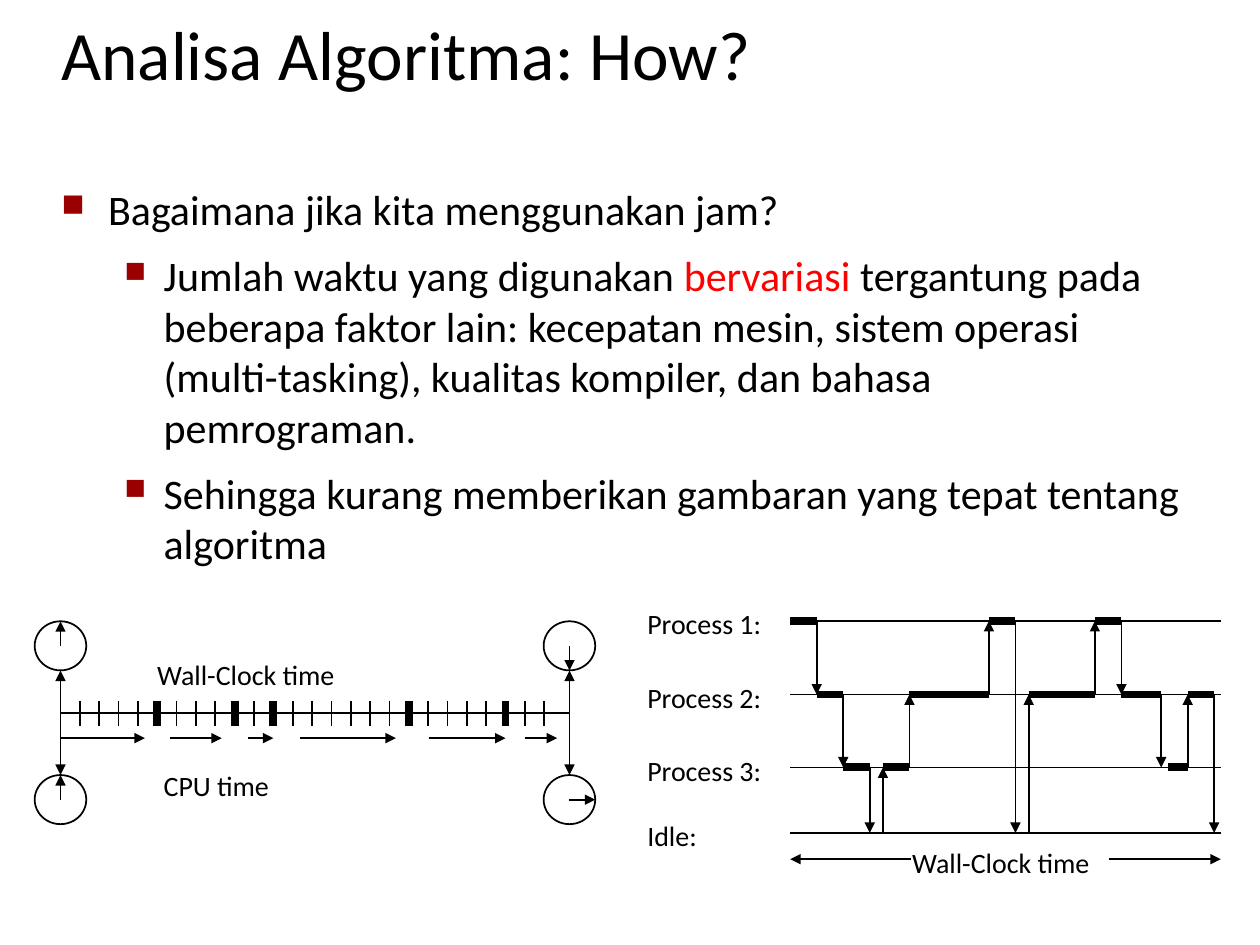
"""Build the slide on measuring an algorithm with a clock."""
from dataclasses import dataclass

from lxml.etree import SubElement
from pptx import Presentation
from pptx.dml.color import RGBColor
from pptx.enum.shapes import MSO_CONNECTOR as Connector, MSO_SHAPE as Shape
from pptx.enum.text import MSO_ANCHOR as Anchor
from pptx.oxml.ns import qn
from pptx.util import Cm, Pt


@dataclass(frozen=True)
class Theme:
    font: str = "Calibri"
    ink: str = "000000"
    accent: str = "FF0000"
    bullet: str = "9A0000"
    title: float = 39.6
    body: float = 24
    label: float = 16
    thin: float = 1
    thick: float = 4.5


class SlideBuilder:
    def __init__(self, slide, theme):
        self.slide = slide
        self.theme = theme

    def style(self, paragraph, size):
        paragraph.font.name = self.theme.font
        paragraph.font.size = Pt(size)
        paragraph.font.color.rgb = RGBColor.from_string(self.theme.ink)

    def frame(self, left, top, width, height):
        box = self.slide.shapes.add_textbox(Cm(left), Cm(top), Cm(width), Cm(height))
        box.text_frame.word_wrap = True
        return box.text_frame

    def text(self, content, left, top, width, height, size, anchor=Anchor.TOP):
        frame = self.frame(left, top, width, height)
        frame.vertical_anchor = anchor
        frame.text = content
        self.style(frame.paragraphs[0], size)

    def label(self, content, left, top, width):
        self.text(content, left, top, width, 0.94, self.theme.label)

    def bullets(self, items, left, top, width, height):
        frame = self.frame(left, top, width, height)
        for index, (margin, indent, bullet_size, runs) in enumerate(items):
            paragraph = frame.add_paragraph() if index else frame.paragraphs[0]
            properties = paragraph._p.get_or_add_pPr()
            properties.set("marL", str(Cm(margin)))
            properties.set("indent", str(Cm(-indent)))
            color = SubElement(properties, qn("a:buClr"))
            SubElement(color, qn("a:srgbClr"), val=self.theme.bullet)
            SubElement(properties, qn("a:buSzPct"), val=str(bullet_size * 1000))
            SubElement(properties, qn("a:buChar"), char="\u25a0")
            paragraph.space_before = Pt(3)
            paragraph.space_after = Pt(6)
            self.style(paragraph, self.theme.body)
            for content, run_color in runs:
                run = paragraph.add_run()
                run.text = content
                if run_color:
                    run.font.color.rgb = RGBColor.from_string(run_color)

    def line(self, x1, y1, x2, y2, weight=None, ends=()):
        connector = self.slide.shapes.add_connector(
            Connector.STRAIGHT, Cm(x1), Cm(y1), Cm(x2), Cm(y2))
        connector.line.color.rgb = RGBColor.from_string(self.theme.ink)
        connector.line.width = Pt(weight or self.theme.thin)
        outline = connector.line._get_or_add_ln()
        for end in ends:
            SubElement(outline, qn(f"a:{end}"), type="triangle")
        SubElement(connector._element.spPr, qn("a:effectLst"))

    def arrow(self, x1, y1, x2, y2):
        self.line(x1, y1, x2, y2, ends=("tailEnd",))

    def clock(self, x, y, hand_x, hand_y):
        width, height = 1.04, 0.99
        circle = self.slide.shapes.add_shape(
            Shape.OVAL, Cm(x - width / 2), Cm(y - height / 2), Cm(width), Cm(height))
        circle.shadow.inherit = False
        circle.fill.background()
        circle.line.color.rgb = RGBColor.from_string(self.theme.ink)
        circle.line.width = Pt(self.theme.thin)
        self.arrow(x, y, x + hand_x * width / 2, y + hand_y * height / 2)


def draw_cpu_timeline(builder):
    start, end, axis, tick_gap = 1.22, 11.48, 14.38, 0.39
    upper, lower = 13.02, 16.12
    builder.line(start, axis, end, axis)
    for tick in range(1, 26):
        x = start + tick * tick_gap
        weight = builder.theme.thick if tick in (5, 9, 11, 18, 23) else builder.theme.thin
        builder.line(x, axis - 0.25, x, axis + 0.25, weight)
    for x in (start, end):
        builder.line(x, upper + 0.5, x, lower - 0.5, ends=("headEnd", "tailEnd"))
    for x, y, hand_x, hand_y in ((start, upper, 0, -1), (start, lower, 0, -1),
                                 (end, upper, 0, 1), (end, lower, 1, 0)):
        builder.clock(x, y, hand_x, hand_y)
    for busy_start, busy_end in ((1.22, 2.92), (3.43, 4.47), (5, 5.51),
                                 (6.05, 7.98), (8.64, 10.19), (10.59, 11.23)):
        builder.arrow(busy_start, 14.88, busy_end, 14.88)
    builder.label("Wall-Clock time", 2.92, 13.13, 5.33)
    builder.label("CPU time", 3.05, 15.37, 4.17)


def draw_process_schedule(builder):
    start, end = 15.93, 24.61
    step = (end - start) / 65
    levels = (12.52, 14, 15.47, 16.79)
    for name, y in zip(("Process 1:", "Process 2:", "Process 3:", "Idle:"), levels):
        builder.line(start, y, end, y)
        builder.label(name, 12.8, y - 0.41, 2.87)
    runs = ((0, 4, 0), (4, 8, 1), (8, 12, 2), (14, 18, 2), (18, 30, 1), (30, 34, 0),
            (36, 46, 1), (46, 50, 0), (50, 56, 1), (57, 60, 2), (60, 64, 1))
    for begin, finish, level in runs:
        y = levels[level]
        builder.line(start + begin * step, y, start + finish * step, y, builder.theme.thick)
    switches = ((4, 0, 1), (8, 1, 2), (12, 2, 3), (14, 3, 2), (18, 2, 1), (30, 1, 0),
                (34, 0, 3), (36, 3, 1), (46, 1, 0), (50, 0, 1), (56, 1, 2),
                (60, 2, 1), (64, 1, 3))
    for moment, source, target in switches:
        x = start + moment * step
        builder.arrow(x, levels[source], x, levels[target])
    builder.label("Wall-Clock time", 18.14, 16.92, 4.67)
    builder.arrow(22.35, 17.32, end, 17.32)
    builder.arrow(18.36, 17.32, start, 17.32)


def main():
    theme = Theme()
    presentation = Presentation()
    presentation.slide_width, presentation.slide_height = Cm(25.4), Cm(19.05)
    slide = presentation.slides.add_slide(presentation.slide_layouts[6])
    builder = SlideBuilder(slide, theme)
    builder.text("Analisa Algoritma: How?", 0.99, 0.18, 24, 1.75, theme.title, Anchor.MIDDLE)
    builder.bullets((
        (0.94, 0.94, 75, (("Bagaimana jika kita menggunakan jam?", None),)),
        (2.06, 0.79, 70, (
            ("Jumlah waktu yang digunakan ", None),
            ("bervariasi ", theme.accent),
            ("tergantung pada beberapa faktor lain: kecepatan mesin, sistem operasi "
             "(multi-tasking), kualitas kompiler, dan bahasa pemrograman.", None))),
        (2.06, 0.79, 70, (
            ("Sehingga kurang memberikan gambaran yang tepat tentang algoritma", None),)),
    ), 0.99, 3.58, 23.16, 14.81)
    draw_cpu_timeline(builder)
    draw_process_schedule(builder)
    presentation.save("out.pptx")


main()
